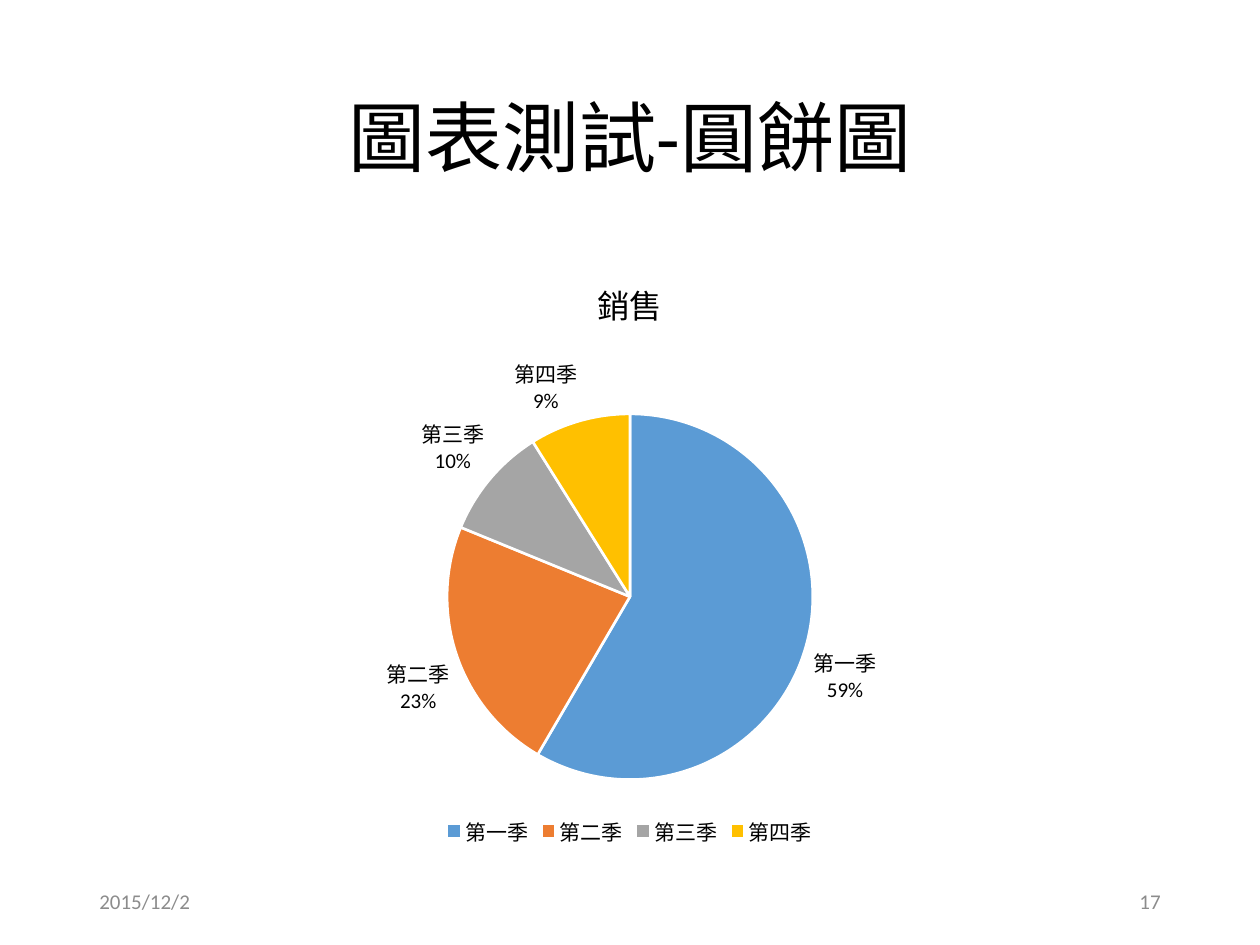
from dataclasses import dataclass
from lxml.etree import SubElement
from pptx import Presentation
from pptx.chart.data import CategoryChartData
from pptx.dml.color import RGBColor
from pptx.enum.chart import XL_CHART_TYPE, XL_LABEL_POSITION, XL_LEGEND_POSITION
from pptx.enum.text import MSO_ANCHOR, PP_ALIGN
from pptx.oxml import parse_xml
from pptx.oxml.ns import nsdecls, qn
from pptx.util import Pt


@dataclass(frozen=True)
class Theme:
    face: str = "Calibri"
    ink: str = "000000"
    mute: str = "8C8C8C"
    edge: str = "FFFFFF"
    fills: tuple = ("5B9BD5", "ED7D31", "A5A5A5", "FFC000")
    head: float = 44
    label: float = 18.6
    small: float = 12
    base: float = 10


THEME = Theme()
SIDE, WIDE = 49.68, 620.64
FOOT, NOTE = 500.4, 162
SALES = {"第一季": 59, "第二季": 23, "第三季": 10, "第四季": 9}


def apply(item, values):
    for name, value in values.items():
        setattr(item, name, value)


def style(font, size, color=THEME.ink):
    apply(font, {"name": THEME.face, "size": Pt(size), "bold": False})
    font.color.rgb = RGBColor.from_string(color)


def add_text(slide, box, text, size, color, align, space=1.0):
    frame = slide.shapes.add_textbox(*map(Pt, box)).text_frame
    apply(frame, {"word_wrap": True, "vertical_anchor": MSO_ANCHOR.MIDDLE})
    para = frame.paragraphs[0]
    apply(para, {"alignment": align, "line_spacing": space})
    run = para.add_run()
    run.text = text
    style(run.font, size, color)


def set_plot(chart, area):
    plot = chart._chartSpace.chart.plotArea
    for old in plot.findall(qn("c:layout")):
        plot.remove(old)
    frame = parse_xml(f"<c:layout {nsdecls('c')}><c:manualLayout/></c:layout>")
    rules = {"layoutTarget": "inner", "xMode": "edge", "yMode": "edge"} | area
    for name, value in rules.items():
        SubElement(frame[0], qn(f"c:{name}")).set("val", str(value))
    plot.insert(0, frame)


def add_labels(series):
    labels = series.data_labels
    apply(labels, {
        "show_category_name": True,
        "show_value": True,
        "show_percentage": False,
        "number_format": '0"%"',
        "number_format_is_linked": False,
        "position": XL_LABEL_POSITION.OUTSIDE_END,
    })
    style(labels.font, THEME.small)
    mark = parse_xml(f"<c:separator {nsdecls('c')}>\n</c:separator>")
    labels._element.find(qn("c:showBubbleSize")).addnext(mark)


def add_pie(slide, box, title, sales):
    data = CategoryChartData()
    data.categories = list(sales)
    data.add_series(title, list(sales.values()))
    chart = slide.shapes.add_chart(XL_CHART_TYPE.PIE, *map(Pt, box), data).chart
    style(chart.font, THEME.base)
    apply(chart, {"has_title": True, "has_legend": True})
    chart.chart_title.text_frame.text = title
    style(chart.chart_title.text_frame.paragraphs[0].runs[0].font, THEME.label)
    apply(chart.legend, {
        "position": XL_LEGEND_POSITION.BOTTOM,
        "include_in_layout": False,
    })
    style(chart.legend.font, THEME.small)
    pie = chart.plots[0]
    pie.vary_by_categories = True
    series = pie.series[0]
    for spot, color in enumerate(THEME.fills):
        form = series.points[spot].format
        form.fill.solid()
        form.fill.fore_color.rgb = RGBColor.from_string(color)
        form.line.width = Pt(1.5)
        form.line.color.rgb = RGBColor.from_string(THEME.edge)
    add_labels(series)
    set_plot(chart, {"x": 0.33, "y": 0.27, "w": 0.34, "h": 0.61})


def add_foot(slide, box, date, page):
    left, top, width, height = box
    ends = ((left, date, PP_ALIGN.LEFT),
            (left + width - NOTE, page, PP_ALIGN.RIGHT))
    for start, text, align in ends:
        add_text(slide, (start, top, NOTE, height), text,
                 THEME.small, THEME.mute, align)


def main():
    deck = Presentation()
    apply(deck, {"slide_width": Pt(720), "slide_height": Pt(540)})
    slide = deck.slides.add_slide(deck.slide_layouts[6])
    add_text(slide, (SIDE, 28.8, WIDE, 104.4), "圖表測試-圓餅圖",
             THEME.head, THEME.ink, PP_ALIGN.CENTER, 0.9)
    add_pie(slide, (SIDE, 144, WIDE, 342.72), "銷售", SALES)
    add_foot(slide, (SIDE, FOOT, WIDE, 28.8), "2015/12/2", "17")
    deck.save("out.pptx")


if __name__ == "__main__":
    main()
